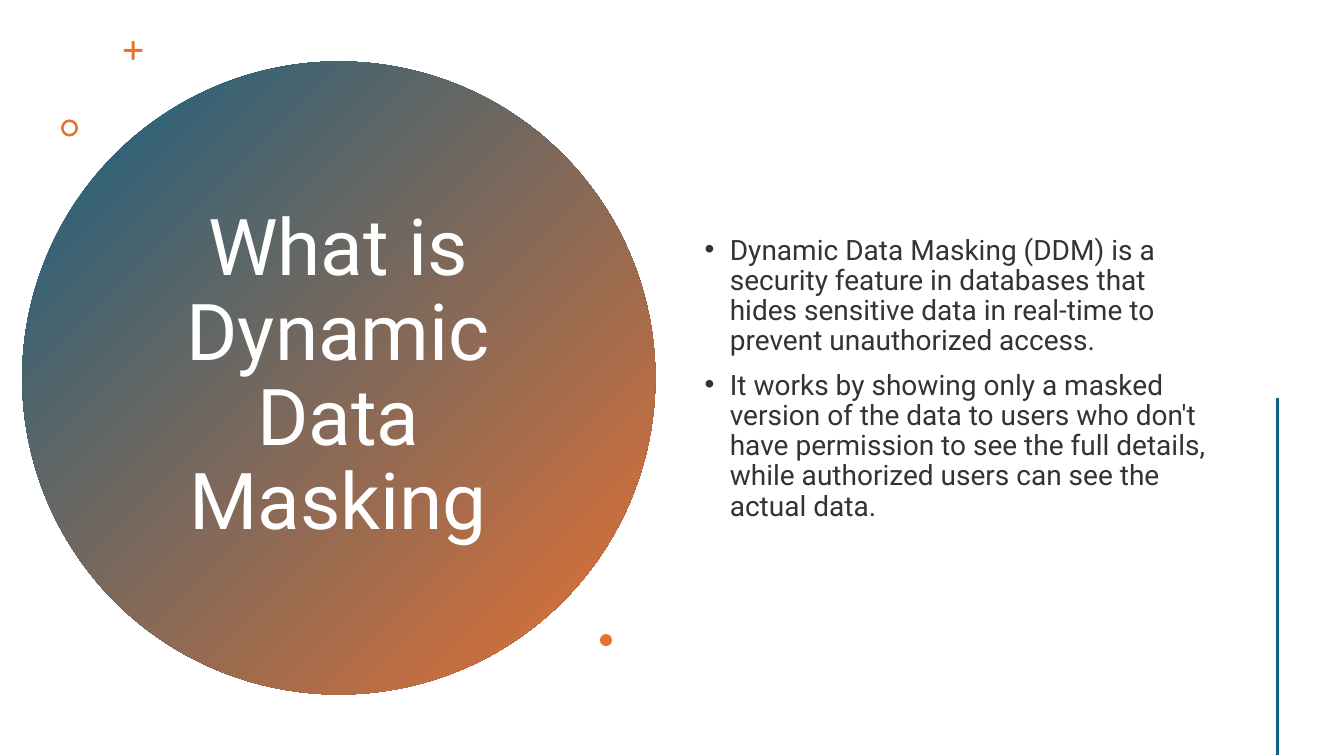
from lxml import etree
from pptx import Presentation
from pptx.dml.color import RGBColor
from pptx.enum.shapes import MSO_CONNECTOR, MSO_SHAPE
from pptx.enum.text import MSO_ANCHOR, PP_ALIGN
from pptx.oxml.ns import qn
from pptx.util import Inches, Pt

OVAL, RING, BAR = MSO_SHAPE.OVAL, MSO_SHAPE.DONUT, MSO_SHAPE.ROUNDED_RECTANGLE
LEFT, CENTER = PP_ALIGN.LEFT, PP_ALIGN.CENTER
MIDDLE = MSO_ANCHOR.MIDDLE
STRAIGHT = MSO_CONNECTOR.STRAIGHT

TITLE = ["What is Dynamic Data Masking"]
POINTS = [
    "Dynamic Data Masking (DDM) is a security feature in databases that "
    "hides sensitive data in real-time to prevent unauthorized access.",
    "It works by showing only a masked version of the data to users who "
    "don't have permission to see the full details, while authorized users "
    "can see the actual data.",
]
# Accent marks: shape, centre x, centre y, width, height, adjustment
MARKS = [
    (BAR, 1.32, 0.5, 0.19, 0.03, 0.5),
    (BAR, 1.32, 0.5, 0.03, 0.19, 0.5),
    (RING, 0.69, 1.27, 0.17, 0.17, 0.15),
    (OVAL, 6.01, 6.35, 0.12, 0.12, None),
]
THEME = {
    "font": "Roboto", "title": 56, "body": 20,
    "blue": "156082", "orange": "E97132", "white": "FFFFFF", "ink": "333333",
}
INDENT = 0.25


def paint(name):
    return RGBColor.from_string(THEME[name])


def add_shape(slide, kind, mid_x, mid_y, wide, high, adjust=None):
    """Add an orange shape without outline, placed by its centre."""
    shape = slide.shapes.add_shape(
        kind, Inches(mid_x - wide / 2), Inches(mid_y - high / 2),
        Inches(wide), Inches(high))
    shape.shadow.inherit = False
    shape.line.fill.background()
    shape.fill.solid()
    shape.fill.fore_color.rgb = paint("orange")
    if adjust is not None:
        shape.adjustments[0] = adjust
    return shape


def add_bullet(para):
    props = para._p.get_or_add_pPr()
    props.set("marL", str(Inches(INDENT)))
    props.set("indent", str(-Inches(INDENT)))
    etree.SubElement(props, qn("a:buFont")).set("typeface", "Arial")
    etree.SubElement(props, qn("a:buChar")).set("char", "•")


def add_text(slide, lines, box, size, color, align=LEFT, bullet=False, gap=0):
    frame = slide.shapes.add_textbox(*map(Inches, box)).text_frame
    frame.word_wrap = True
    frame.vertical_anchor = MIDDLE
    for i, line in enumerate(lines):
        para = frame.paragraphs[0] if i == 0 else frame.add_paragraph()
        if bullet:
            add_bullet(para)
        para.alignment = align
        para.line_spacing = 0.9
        para.space_before = Pt(gap if i else 0)
        run = para.add_run()
        run.text = line
        run.font.name = THEME["font"]
        run.font.size = Pt(THEME[size])
        run.font.color.rgb = paint(color)


def add_rule(slide, x, top, bottom):
    rule = slide.shapes.add_connector(
        STRAIGHT, Inches(x), Inches(top), Inches(x), Inches(bottom))
    rule.line.color.rgb = paint("blue")
    rule.line.width = Pt(2)
    etree.SubElement(rule._element.spPr, qn("a:effectLst"))


def main():
    deck = Presentation()
    deck.slide_width, deck.slide_height = Inches(13.33), Inches(7.5)
    slide = deck.slides.add_slide(deck.slide_layouts[6])

    disc = add_shape(slide, OVAL, 3.36, 3.75, 6.28, 6.28)
    disc.fill.gradient()
    disc.fill.gradient_angle = 315
    for stop, place, color in zip(
            disc.fill.gradient_stops, (0, 1), ("blue", "orange")):
        stop.position = place
        stop.color.rgb = paint(color)

    add_text(slide, TITLE, (1.36, 1.41, 3.99, 4.67), "title", "white",
             align=CENTER)
    add_text(slide, POINTS, (6.89, 0.57, 5.22, 6.38), "body", "ink",
             bullet=True, gap=10)
    for mark in MARKS:
        add_shape(slide, *mark)
    add_rule(slide, 12.67, 3.95, 7.49)

    deck.save("out.pptx")


if __name__ == "__main__":
    main()
